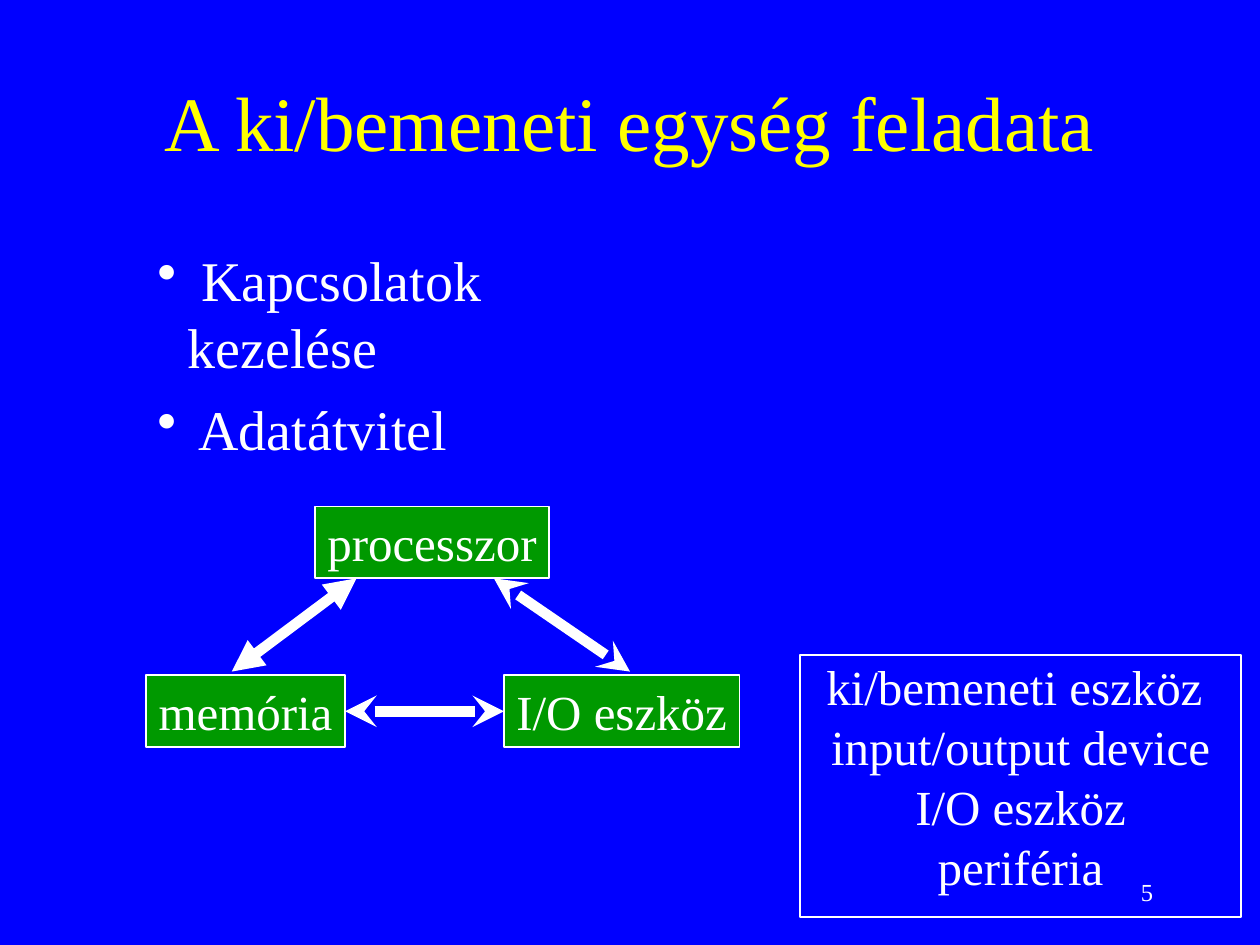
from lxml import etree
from pptx import Presentation
from pptx import util as u
from pptx.dml.color import RGBColor
from pptx.enum import shapes, text
from pptx.oxml.ns import qn

HUES = {"back": "0000FF", "title": "FFFF00", "white": "FFFFFF", "green": "009900"}
FONT = "Times New Roman"
LEFT, MID, RIGHT = text.PP_ALIGN.LEFT, text.PP_ALIGN.CENTER, text.PP_ALIGN.RIGHT


def hue(name):
    """Return the named colour."""
    return RGBColor.from_string(HUES[name])


def write(shape, lines, size, align=LEFT, color="white", wrap=True, middle=False):
    """Fill a shape with styled paragraphs."""
    frame = shape.text_frame
    frame.text = "\n".join(lines)
    frame.word_wrap = wrap
    frame.vertical_anchor = text.MSO_ANCHOR.MIDDLE if middle else text.MSO_ANCHOR.TOP
    for para in frame.paragraphs:
        para.alignment = align
        for run in para.runs:
            run.font.size = u.Pt(size)
            run.font.name = FONT
            run.font.color.rgb = hue(color)
    return frame


def add_text(slide, area, lines, size, **style):
    """Add a text box."""
    box = slide.shapes.add_textbox(*map(u.Inches, area))
    return write(box, lines, size, **style)


def add_list(slide, area, lines, size):
    """Add a bulleted list with a hanging indent."""
    frame = add_text(slide, area, lines, size)
    for spot, para in enumerate(frame.paragraphs):
        props = para._p.get_or_add_pPr()
        props.set("marL", str(u.Inches(0.24)))
        props.set("indent", str(-u.Inches(0.24)))
        etree.SubElement(props, qn("a:buChar"), char="•")
        if spot:
            para.space_before = u.Pt(8)


def add_box(slide, area, lines, fill=None, **style):
    """Add a white-edged rectangle with text."""
    box = slide.shapes.add_shape(shapes.MSO_SHAPE.RECTANGLE, *map(u.Inches, area))
    box.shadow.inherit = False
    if fill:
        box.fill.solid()
        box.fill.fore_color.rgb = hue(fill)
    else:
        box.fill.background()
    box.line.color.rgb = hue("white")
    box.line.width = u.Pt(1)
    write(box, lines, 28, wrap=False, **style)
    return box


def add_arrow(slide, ends, head):
    """Add a thick line with a head at both ends."""
    line = slide.shapes.add_connector(
        shapes.MSO_CONNECTOR.STRAIGHT, *map(u.Inches, ends))
    line.line.color.rgb = hue("white")
    line.line.width = u.Pt(6)
    for tag in ("a:headEnd", "a:tailEnd"):
        etree.SubElement(line.line._get_or_add_ln(), qn(tag), type=head)
    etree.SubElement(line._element.spPr, qn("a:effectLst"))
    return line


def main():
    """Build the slide and save it."""
    deck = Presentation()
    deck.slide_width, deck.slide_height = u.Inches(10), u.Inches(7.5)
    slide = deck.slides.add_slide(deck.slide_layouts[6])
    slide.background.fill.solid()
    slide.background.fill.fore_color.rgb = hue("back")

    add_text(slide, (0.75, 0.33, 8.5, 1.25), ["A ki/bemeneti egység feladata"], 44,
             align=MID, color="title", middle=True)

    terms = add_box(slide, (6.35, 5.2, 3.5, 2.08),
                    ["ki/bemeneti eszköz ", "input/output device", "I/O eszköz", "periféria"],
                    align=MID)
    terms.text_frame.margin_top = 0
    for para in terms.text_frame.paragraphs:
        para.line_spacing = u.Pt(34.3)

    add_list(slide, (1.15, 1.9, 4.2, 1.75), [" Kapcsolatok kezelése", " Adatátvitel"], 32)

    add_box(slide, (2.5, 4.02, 1.86, 0.57), ["processzor"], "green")
    store = add_box(slide, (1.16, 5.36, 1.58, 0.57), ["memória"], "green")
    device = add_box(slide, (4, 5.36, 1.87, 0.57), ["I/O eszköz"], "green")

    add_arrow(slide, (2.83, 4.59, 1.84, 5.33), "triangle")
    add_arrow(slide, (3.92, 4.59, 5, 5.33), "stealth")
    link = add_arrow(slide, (2.74, 5.65, 4, 5.65), "stealth")
    link.begin_connect(store, 3)
    link.end_connect(device, 1)

    add_text(slide, (7.17, 6.83, 2.08, 0.5), ["5"], 14, align=RIGHT, middle=True)
    deck.save("out.pptx")


if __name__ == "__main__":
    main()
